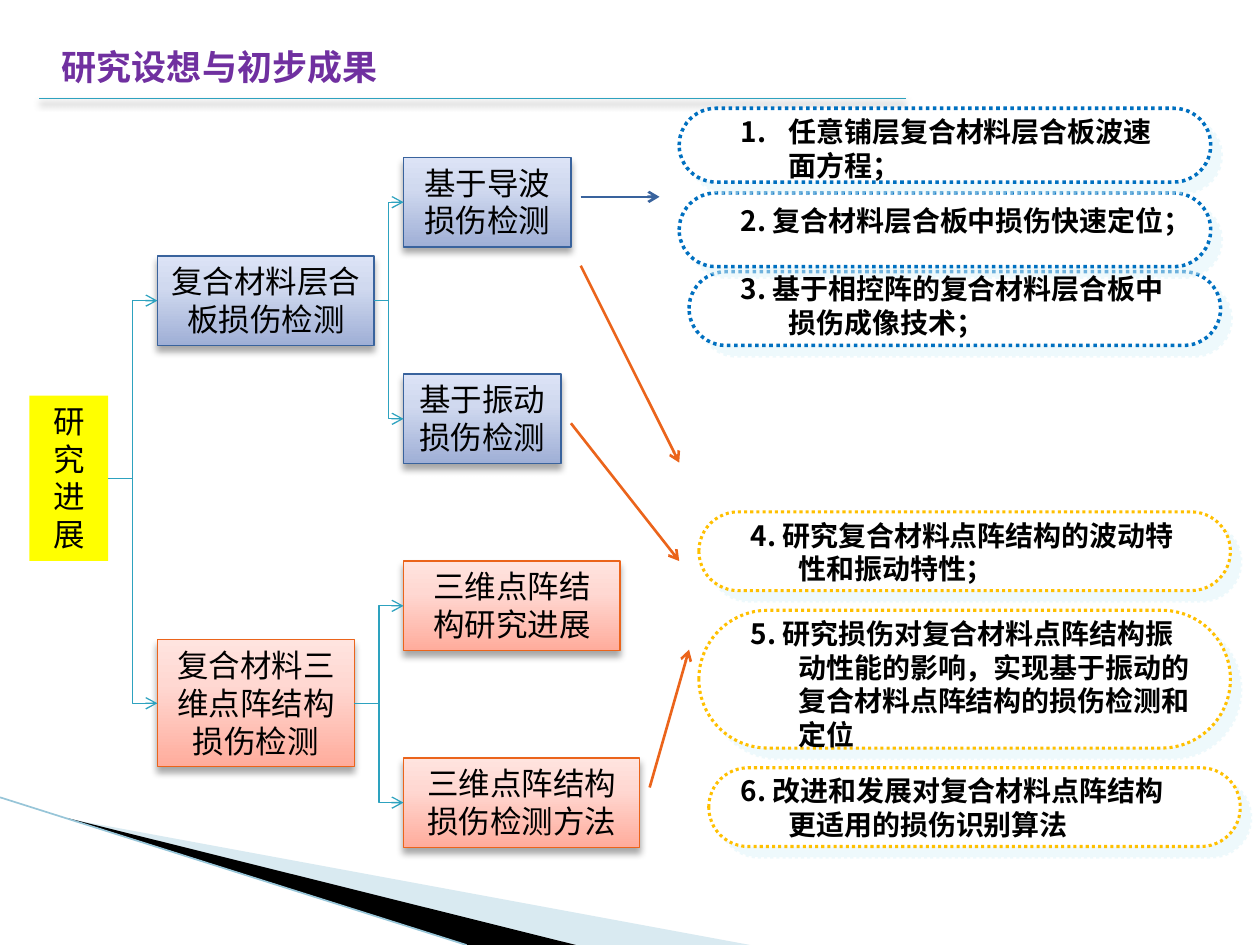
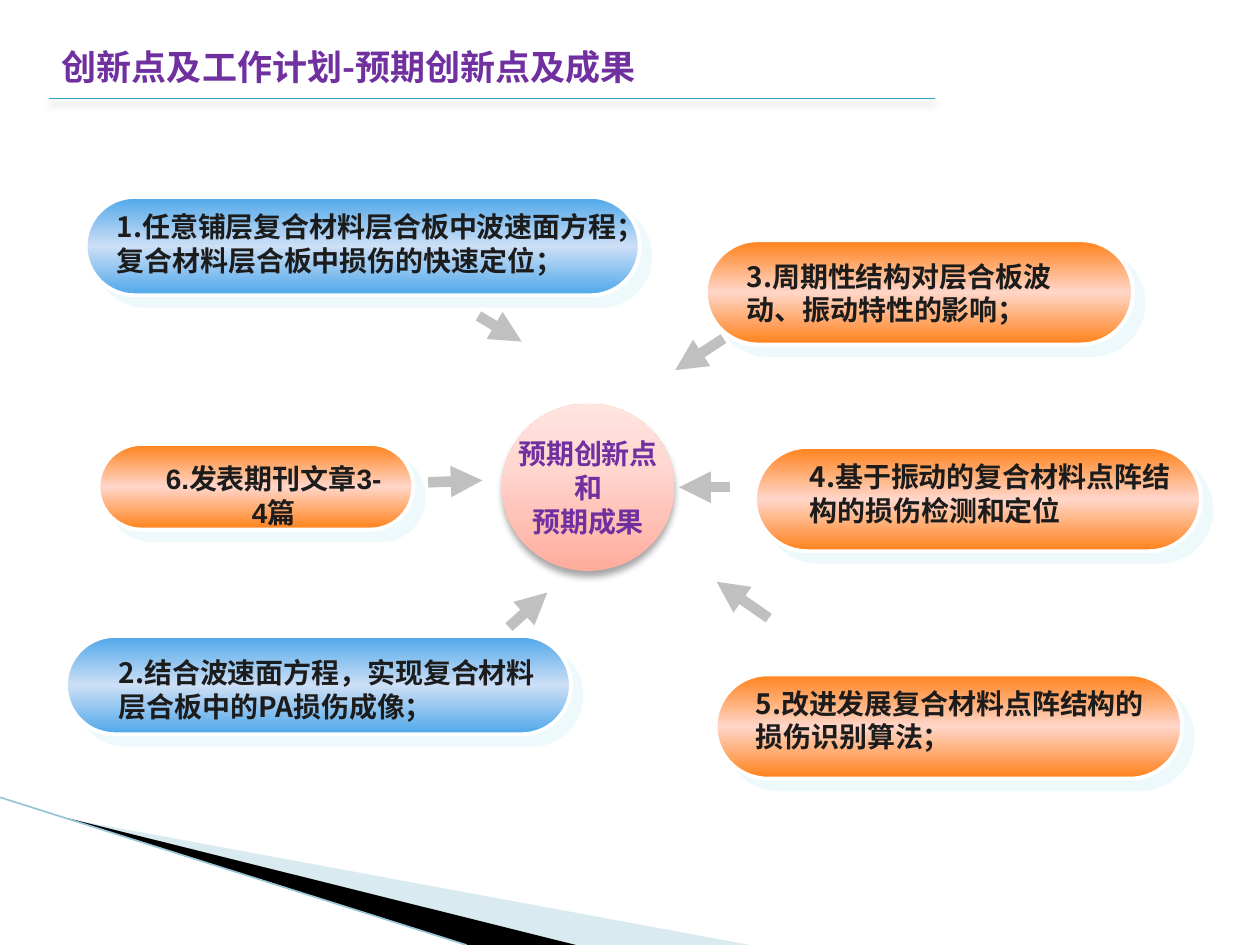
from lxml.etree import SubElement
from pptx import Presentation
from pptx.dml.color import RGBColor
from pptx.enum.dml import MSO_LINE
from pptx.enum.shapes import MSO_CONNECTOR, MSO_SHAPE
from pptx.enum.text import MSO_ANCHOR, PP_ALIGN
from pptx.oxml.ns import qn
from pptx.util import Inches, Pt

COLUMNS, ROWS = 128, 96
SANS, MONO, LATIN = "Noto Sans CJK SC", "Courier New", "Arial"

BLACK = RGBColor(0x00, 0x00, 0x00)
WHITE = RGBColor(0xFF, 0xFF, 0xFF)
INK = RGBColor(0x1C, 0x1C, 0x1C)
PURPLE = RGBColor(0x70, 0x30, 0xA0)
TEAL = RGBColor(0x2D, 0xA2, 0xBF)
NAVY = RGBColor(0x39, 0x63, 0x9D)
RUST = RGBColor(0xEB, 0x64, 0x1B)
BLUE = RGBColor(0x00, 0x70, 0xC0)
GOLD = RGBColor(0xFF, 0xC0, 0x00)
YELLOW = RGBColor(0xFF, 0xFF, 0x00)
SILVER = RGBColor(0xC0, 0xC0, 0xC0)
MIST = RGBColor(0xA0, 0xCB, 0xDC)
BAND_EDGE = RGBColor(0x97, 0xC5, 0xD8)
PALE_CYAN = RGBColor(0xDE, 0xF5, 0xFA)
SKY, PALE_SKY = RGBColor(0x4E, 0xA7, 0xEA), RGBColor(0xCD, 0xDF, 0xF6)
ORANGE, PALE_ORANGE = RGBColor(0xFF, 0x81, 0x19), RGBColor(0xFF, 0xD6, 0xC9)

PERIWINKLE_FADE = ((0, RGBColor(0x9F, 0xAF, 0xD6)), (65, RGBColor(0xD0, 0xD9, 0xEF)),
                   (100, RGBColor(0xDC, 0xE3, 0xF6)))
CORAL_FADE = ((0, RGBColor(0xFF, 0xAC, 0x9C)), (65, RGBColor(0xFF, 0xD8, 0xD2)),
              (100, RGBColor(0xFF, 0xE4, 0xDF)))
SKY_FADE = ((0, SKY), (50, PALE_SKY), (100, SKY))
ORANGE_FADE = ((0, ORANGE), (50, PALE_ORANGE), (100, ORANGE))

PILL_SHADOW = (PALE_CYAN, 50, 0, 8.5, 45)
BOX_SHADOW = (BLACK, 35, 4, 3, 90)
RULE_SHADOW = (BLACK, 40, 4, 3, 90)


def add_color(parent, color, alpha=100):
    """Append an RGB colour with an opacity in percent."""
    element = SubElement(parent, qn("a:srgbClr"), val=str(color))
    if alpha < 100:
        SubElement(element, qn("a:alpha"), val=str(alpha * 1000))


def add_shadow(effects, color, alpha, blur, distance, angle):
    """Append an outer shadow to an effect list."""
    shadow = SubElement(effects, qn("a:outerShdw"), blurRad=str(Pt(blur)),
                        dist=str(Pt(distance)), dir=str(angle * 60000), rotWithShape="0")
    add_color(shadow, color, alpha)


def fill_gradient(shape, stops, angle):
    """Fill a shape with a linear gradient of any number of stops."""
    shape.fill.gradient()
    gradient = shape.element.spPr.find(qn("a:gradFill"))
    stop_list = gradient.find(qn("a:gsLst"))
    for old_stop in list(stop_list):
        stop_list.remove(old_stop)
    for position, color in stops:
        add_color(SubElement(stop_list, qn("a:gs"), pos=str(position * 1000)), color)
    gradient.find(qn("a:lin")).set("ang", str(angle * 60000))


def write_text(frame, text, size=16, font=SANS, color=BLACK, bold=True, align=PP_ALIGN.LEFT,
               anchor=MSO_ANCHOR.TOP, wrap=True, hanging=0, numbered=False):
    """Write one paragraph per line of text in the given format."""
    frame.word_wrap = wrap
    frame.vertical_anchor = anchor
    frame.text = text
    for paragraph in frame.paragraphs:
        paragraph.alignment = align
        if hanging:
            properties = paragraph._p.get_or_add_pPr()
            properties.set("marL", str(Inches(hanging)))
            properties.set("indent", str(-Inches(hanging)))
            if numbered:
                SubElement(properties, qn("a:buFont"), typeface="+mj-lt")
                SubElement(properties, qn("a:buAutoNum"), type="arabicPeriod")
        for run in paragraph.runs:
            run.font.size = Pt(size)
            run.font.bold = bold
            run.font.color.rgb = color
            run.font.name = font
            SubElement(run.font._element, qn("a:ea"), typeface=SANS)


class Deck:
    """Holds the shared style, the grid and the current slide."""

    def __init__(self):
        """Open an empty 4:3 presentation."""
        self.presentation = Presentation()
        self.presentation.slide_width = Inches(10)
        self.presentation.slide_height = Inches(7.5)
        self.cell_width = self.presentation.slide_width / COLUMNS
        self.cell_height = self.presentation.slide_height / ROWS
        self.slide = None

    def place(self, *cells):
        """Turn alternating columns and rows into lengths."""
        units = (self.cell_width, self.cell_height)
        return [round(cell * units[index % 2]) for index, cell in enumerate(cells)]

    def start(self, title, title_width, rule_start, rule_end):
        """Add a slide with corner bands, a title and a rule below it."""
        layout = self.presentation.slide_layouts[5]
        self.slide = self.presentation.slides.add_slide(layout)
        self.band(((7, 83.2), (76.2, 96), (58.4, 96)), MIST, 40)
        self.band(((6.8, 83.1), (58.5, 96), (47.5, 96)), BLACK)
        self.line((0, 81), (47.4, 96), BAND_EDGE, 0.95)
        self.line((rule_start, 10), (rule_end, 10), TEAL, 0.75, shadow=RULE_SHADOW)
        holder = self.slide.shapes.title
        holder.left, holder.top, holder.width, holder.height = self.place(5, 4, title_width, 10)
        write_text(holder.text_frame, title, size=20, color=PURPLE)

    def band(self, corners, color, alpha=100):
        """Draw a filled polygon without an outline."""
        points = [self.place(*corner) for corner in corners]
        builder = self.slide.shapes.build_freeform(*points[0])
        builder.add_line_segments(points[1:])
        shape = builder.convert_to_shape()
        shape.shadow.inherit = False
        shape.line.fill.background()
        shape.fill.solid()
        shape.fill.fore_color.rgb = color
        if alpha < 100:
            color_element = shape.element.spPr.find(qn("a:solidFill"))[0]
            SubElement(color_element, qn("a:alpha"), val=str(alpha * 1000))

    def finish_line(self, connector, color, width, head=None, shadow=None):
        """Set the colour, width, arrowhead and shadow of a connector."""
        connector.line.color.rgb = color
        connector.line.width = Pt(width)
        properties = connector.element.spPr
        if head:
            SubElement(properties.find(qn("a:ln")), qn("a:tailEnd"), type=head)
        effects = SubElement(properties, qn("a:effectLst"))
        if shadow:
            add_shadow(effects, *shadow)

    def line(self, start, end, color, width, head=None, shadow=None):
        """Draw a straight line between two grid points."""
        connector = self.slide.shapes.add_connector(
            MSO_CONNECTOR.STRAIGHT, *self.place(*start, *end))
        self.finish_line(connector, color, width, head, shadow)

    def branch(self, parent, child):
        """Join a parent box to a child box with an elbow arrow."""
        connector = self.slide.shapes.add_connector(
            MSO_CONNECTOR.ELBOW, parent.left + parent.width, parent.top + parent.height // 2,
            child.left, child.top + child.height // 2)
        connector.begin_connect(parent, 3)
        connector.end_connect(child, 1)
        self.finish_line(connector, TEAL, 0.75, "arrow")

    def shape(self, kind, cells, fill, angle=270, edge=None, width=0.75, dash=None, shadow=None):
        """Draw a preset shape with a plain or gradient fill."""
        shape = self.slide.shapes.add_shape(kind, *self.place(*cells))
        shape.shadow.inherit = False
        if isinstance(fill, RGBColor):
            shape.fill.solid()
            shape.fill.fore_color.rgb = fill
        else:
            fill_gradient(shape, fill, angle)
        if edge is None:
            shape.line.fill.background()
        else:
            shape.line.color.rgb = edge
            shape.line.width = Pt(width)
            if dash:
                shape.line.dash_style = dash
        if shadow:
            add_shadow(shape.element.spPr.find(qn("a:effectLst")), *shadow)
        return shape

    def box(self, text, cells, fill, edge=None):
        """Draw a box of the tree."""
        shadow = BOX_SHADOW if edge else None
        shape = self.shape(MSO_SHAPE.RECTANGLE, cells, fill, edge=edge, shadow=shadow)
        write_text(shape.text_frame, text, size=18, font=MONO, bold=False, align=PP_ALIGN.CENTER)
        return shape

    def pill(self, cells, fill, edge, width, dash=None):
        """Draw a fully rounded shape with an offset shadow."""
        shape = self.shape(MSO_SHAPE.ROUNDED_RECTANGLE, cells, fill, 90, edge, width, dash,
                           PILL_SHADOW)
        shape.adjustments[0] = 0.5

    def label(self, text, cells, **style):
        """Add a text box."""
        box = self.slide.shapes.add_textbox(*self.place(*cells))
        write_text(box.text_frame, text, **style)


def build_progress(deck):
    """Build the tree of research progress and its six results."""
    deck.start("研究设想与初步成果", 54, 4, 92)
    dot = MSO_LINE.ROUND_DOT
    for left, top, height in ((72, 78, 8), (71, 62, 14), (71, 52, 8)):
        deck.pill((left, top, 54, height), WHITE, GOLD, 1.75, dot)
    for left, top in ((70, 27.6), (69, 19.6), (69, 11)):
        deck.pill((left, top, 54, 7.5), WHITE, BLUE, 2, dot)

    root = deck.box("研\n究\n进\n展", (3, 40.2, 8, 16.8), YELLOW)
    branches = (
        (PERIWINKLE_FADE, NAVY, "复合材料层合板损伤检测", (16, 26, 22, 9.1),
         (("基于导波损伤检测", 16, 17), ("基于振动损伤检测", 38, 16))),
        (CORAL_FADE, RUST, "复合材料三维点阵结构损伤检测", (16, 65, 20, 12.9),
         (("三维点阵结\n构研究进展", 57, 22), ("三维点阵结构损伤检测方法", 77, 24))),
    )
    for fade, edge, topic, cells, leaves in branches:
        parent = deck.box(topic, cells, fade, edge)
        deck.branch(root, parent)
        for text, top, width in leaves:
            deck.branch(parent, deck.box(text, (41, top, width, 9.1), fade, edge))

    results = (
        ("任意铺层复合材料层合板波速面方程；", 74, 11, 47, 8.2),
        ("2. 复合材料层合板中损伤快速定位；", 74, 20, 48, 4.7),
        ("3. 基于相控阵的复合材料层合板中损伤成像技术；", 74, 27, 48, 8.2),
        ("4. 研究复合材料点阵结构的波动特性和振动特性；", 75, 52, 48, 8.2),
        ("5. 研究损伤对复合材料点阵结构振动性能的影响，实现基于振动的"
         "复合材料点阵结构的损伤检测和定位", 75, 62, 48, 15.1),
        ("6. 改进和发展对复合材料点阵结构更适用的损伤识别算法", 74, 78, 48, 8.2),
    )
    for index, (text, *cells) in enumerate(results):
        deck.label(text, cells, hanging=0.38, numbered=index == 0)

    deck.line((59, 20), (67, 20), NAVY, 1.5, "arrow")
    for start, end in (((59, 27), (69, 47)), ((58, 43), (69, 57)), ((66, 80), (70, 66))):
        deck.line(start, end, RUST, 1.5, "arrow")


def build_innovations(deck):
    """Build the hub of expected innovations and its six spokes."""
    deck.start("创新点及工作计划-预期创新点及成果", 99, 5, 95)
    spokes = (((48.6, 32.1), (53, 34.7)), ((51.7, 63.7), (55.6, 60.2)),
              ((43.5, 49), (49, 48.8)), ((78.1, 62.8), (72.8, 59.1)),
              ((73.5, 34.4), (68.6, 37.6)), ((74.2, 49.5), (69, 49.5)))
    for start, end in spokes:
        deck.line(start, end, SILVER, 6, "triangle")

    hub = deck.shape(MSO_SHAPE.OVAL, (51, 41, 17.5, 17), CORAL_FADE, shadow=BOX_SHADOW)
    write_text(hub.text_frame, "预期创新点\n和\n预期成果", font=LATIN, color=PURPLE,
               align=PP_ALIGN.CENTER, anchor=MSO_ANCHOR.MIDDLE, wrap=False)

    left, center = {}, {"font": LATIN, "align": PP_ALIGN.CENTER}
    innovations = (
        ("1.任意铺层复合材料层合板中波速面方程；复合材料层合板中损伤的快速定位；",
         SKY_FADE, (8.7, 20, 56.3, 10), (10.6, 20.7, 53.4), left),
        ("2.结合波速面方程，实现复合材料层合板中的PA损伤成像；",
         SKY_FADE, (6.7, 64.6, 51.3, 10), (10.8, 66, 45.2), left),
        ("3.周期性结构对层合板波动、振动特性的影响；",
         ORANGE_FADE, (71.7, 24.4, 43.4, 10.6), (74.6, 25.7, 35.7), left),
        ("4.基于振动的复合材料点阵结构的损伤检测和定位",
         ORANGE_FADE, (76.7, 45.4, 45.3, 10.6), (81, 46.1, 39.2), left),
        ("5.改进发展复合材料点阵结构的损伤识别算法；",
         ORANGE_FADE, (72.7, 68.5, 47.4, 10.6), (75.5, 69.1, 44.3), left),
        ("6.发表期刊文章3-4篇",
         ORANGE_FADE, (10, 45.1, 32, 8.7), (15.5, 46.3, 24.6), center),
    )
    for text, fade, pill_cells, text_cells, style in innovations:
        deck.pill(pill_cells, fade, WHITE, 2.25)
        deck.label(text, (*text_cells, 8.2), color=INK, **style)


def main():
    """Build both slides and save the file."""
    deck = Deck()
    build_progress(deck)
    build_innovations(deck)
    deck.presentation.save("out.pptx")


if __name__ == "__main__":
    main()
